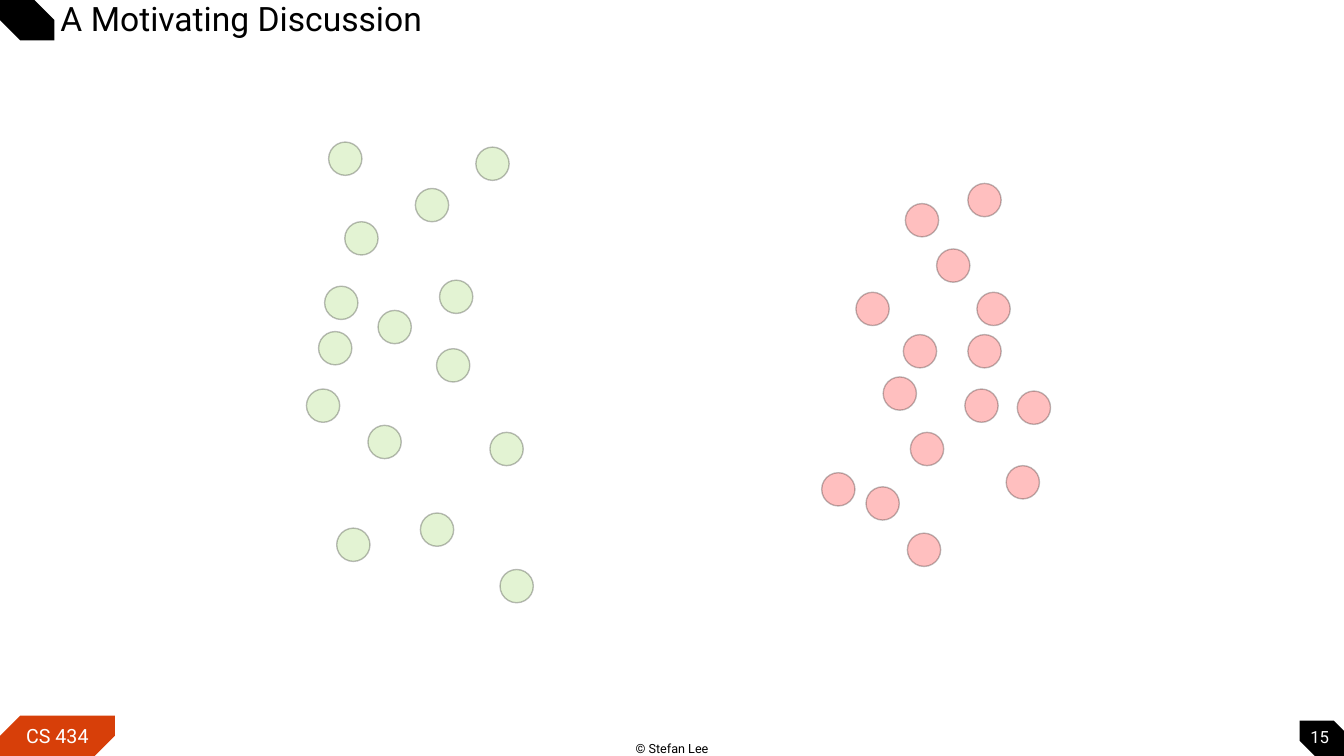
from lxml import etree
from pptx import Presentation
from pptx.dml.color import RGBColor
from pptx.enum.shapes import MSO_SHAPE
from pptx.enum.text import MSO_ANCHOR, PP_ALIGN
from pptx.oxml.ns import qn
from pptx.util import Inches, Pt

SNIP = MSO_SHAPE.SNIP_2_DIAG_RECTANGLE
OVAL = MSO_SHAPE.OVAL
TOP, MIDDLE = MSO_ANCHOR.TOP, MSO_ANCHOR.MIDDLE
LEFT, CENTER = PP_ALIGN.LEFT, PP_ALIGN.CENTER

COLORS = {
    "black": "000000",
    "white": "FFFFFF",
    "orange": "D73F09",
    "green": "92D050",
    "red": "FF0000",
}
COLS, ROWS = 133.3, 75
DOT_SIZE = 3.3
DOT_OPACITY = 25
DEFAULT_INSETS = (1, 0.5, 1, 0.5)

GREEN_DOTS = [
    (43.6, 27.8), (43.3, 34.6), (33.4, 52.4), (48.6, 42.9), (41.2, 18.7),
    (32.2, 28.4), (34.2, 22), (37.5, 30.8), (47.2, 14.6), (49.6, 56.5),
    (36.5, 42.2), (32.6, 14.1), (30.4, 38.6), (41.7, 50.9), (31.6, 32.9),
]
RED_DOTS = [
    (89.6, 33.2), (87.6, 37.4), (81.5, 46.9), (90.3, 42.9), (96, 18.2),
    (92.9, 24.7), (96.9, 29), (96, 33.2), (95.7, 38.6), (90, 52.9),
    (85.9, 48.3), (84.9, 29), (100.9, 38.8), (99.8, 46.2), (89.8, 20.2),
]


class Deck:
    font = "Roboto"

    def __init__(self):
        self.prs = Presentation()
        self.prs.slide_width, self.prs.slide_height = Inches(13.33), Inches(7.5)
        self.s = self.prs.slides.add_slide(self.prs.slide_layouts[6])

    def col(self, n):
        return round(self.prs.slide_width * n / COLS)

    def row(self, n):
        return round(self.prs.slide_height * n / ROWS)

    def box(self, x, y, w, h):
        return self.col(x), self.row(y), self.col(w), self.row(h)

    def color(self, name):
        return RGBColor.from_string(COLORS[name])

    def fill(self, target, color):
        target.solid()
        target.fore_color.rgb = self.color(color)

    def label(self, sp, text, size, color, align=CENTER, anchor=MIDDLE,
              insets=DEFAULT_INSETS, spacing=None):
        tf = sp.text_frame
        left, top, right, bottom = insets
        frame = {
            "word_wrap": True,
            "vertical_anchor": anchor,
            "margin_left": self.col(left),
            "margin_top": self.row(top),
            "margin_right": self.col(right),
            "margin_bottom": self.row(bottom),
        }
        for name, value in frame.items():
            setattr(tf, name, value)
        p = tf.paragraphs[0]
        p.alignment, p.line_spacing = align, spacing
        r = p.add_run()
        r.text = text
        for name, value in {"name": self.font, "size": Pt(size)}.items():
            setattr(r.font, name, value)
        r.font.color.rgb = self.color(color)

    def text(self, at, text, size, color, **style):
        sp = self.s.shapes.add_textbox(*self.box(*at))
        self.label(sp, text, size, color, **style)

    def snipped(self, at, color, snips):
        sp = self.s.shapes.add_shape(SNIP, *self.box(*at))
        sp.shadow.inherit = False
        sp.adjustments[0], sp.adjustments[1] = snips
        self.fill(sp.fill, color)
        sp.line.fill.background()
        return sp

    def cluster(self, dots, color):
        group = self.s.shapes.add_group_shape()
        for x, y in dots:
            sp = group.shapes.add_shape(OVAL, *self.box(x, y, DOT_SIZE, DOT_SIZE))
            sp.shadow.inherit = False
            sp.rotation = 345
            self.fill(sp.fill, color)
            sp.line.width = Pt(1)
            self.fill(sp.line.fill, "black")
            for clr in sp.element.spPr.iter(qn("a:srgbClr")):
                etree.SubElement(clr, qn("a:alpha"), val=str(DOT_OPACITY * 1000))


def main():
    deck = Deck()
    deck.snipped((128.9, 71.5, 5.4, 4), "black", (0, 0.5))
    course = deck.snipped((0, 71, 11.4, 4), "orange", (0.5, 0))
    deck.label(course, "CS 434", 14, "white")
    deck.snipped((0, 0, 5.4, 4), "black", (0, 0.5))
    deck.text((61.3, 73, 10.7, 2.5), "© Stefan Lee", 9, "black", anchor=TOP)
    deck.text((0, 0.1, 113.2, 3.9), "A Motivating Discussion", 24, "black",
              align=LEFT, insets=(6, 0.5, 0.5, 0.5), spacing=0.9)
    deck.text((128.9, 71.5, 4, 3.1), "15", 12, "white", insets=(0, 0, 0, 0))
    deck.cluster(GREEN_DOTS, "green")
    deck.cluster(RED_DOTS, "red")
    deck.prs.save("out.pptx")


if __name__ == "__main__":
    main()
